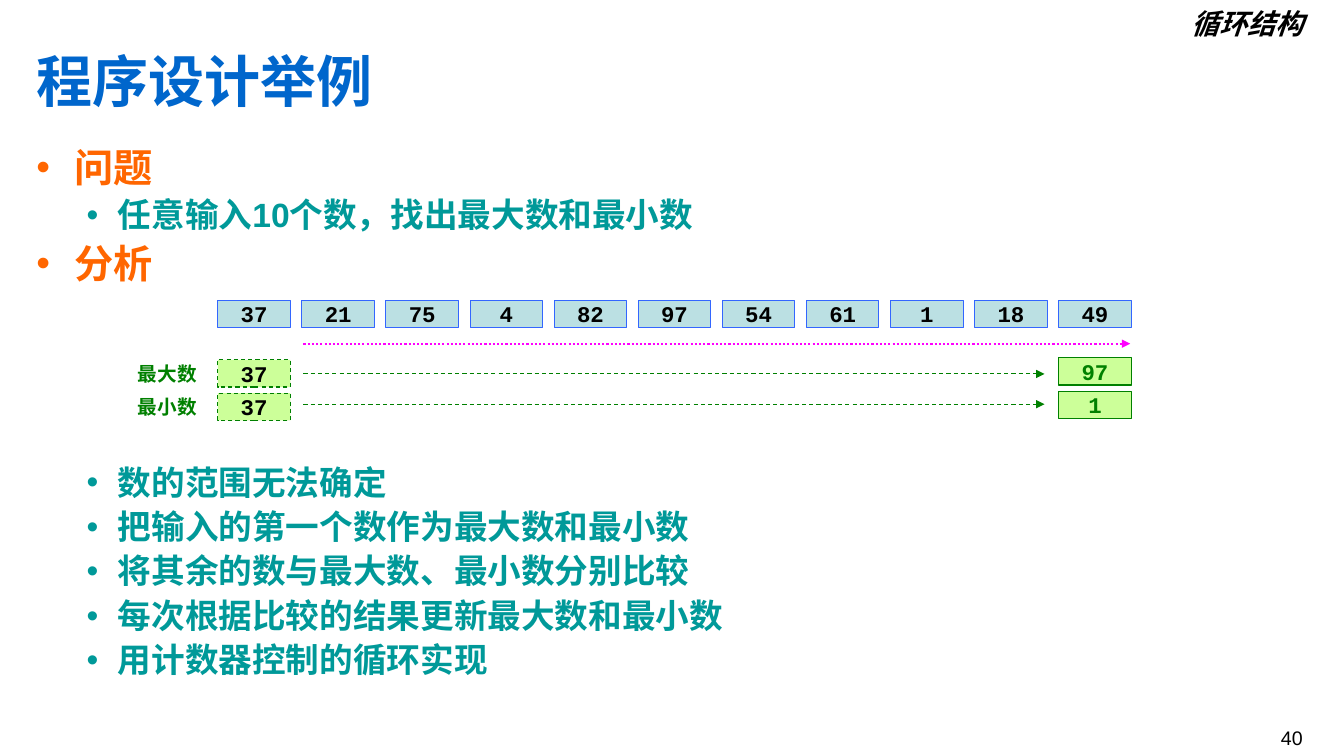
from lxml import etree
from pptx import Presentation
from pptx.dml.color import RGBColor
from pptx.enum.dml import MSO_LINE
from pptx.enum.shapes import MSO_CONNECTOR, MSO_SHAPE
from pptx.enum.text import MSO_ANCHOR, MSO_AUTO_SIZE, PP_ALIGN
from pptx.oxml.ns import qn
from pptx.util import Inches, Pt

DASH, DOT = MSO_LINE.DASH, MSO_LINE.ROUND_DOT
LEFT, CENTER, RIGHT = PP_ALIGN.LEFT, PP_ALIGN.CENTER, PP_ALIGN.RIGHT
TOP, MIDDLE = MSO_ANCHOR.TOP, MSO_ANCHOR.MIDDLE
COLORS = {
    "title": "0066CC", "topic": "FF6600", "detail": "009999", "black": "000000",
    "input": "BBE0E3", "input_edge": "3366FF", "extreme": "CCFF99",
    "green": "008000", "scan": "FF00FF",
}
NUMBERS = [37, 21, 75, 4, 82, 97, 54, 61, 1, 18, 49]
EXTREMES = [("最大数", max(NUMBERS)), ("最小数", min(NUMBERS))]
OUTLINE = [
    (0, "问题"), (1, "任意输入10个数，找出最大数和最小数"), (0, "分析"),
    (1, "数的范围无法确定"), (1, "把输入的第一个数作为最大数和最小数"),
    (1, "将其余的数与最大数、最小数分别比较"),
    (1, "每次根据比较的结果更新最大数和最小数"), (1, "用计数器控制的循环实现"),
]
LEVELS = [
    {"size": 28, "color": "topic", "before": 6.7, "margin": 0.38, "hang": 0.38},
    {"size": 24, "color": "detail", "before": 5.8, "margin": 0.81, "hang": 0.31},
]
DIAGRAM_GAP = 128.2
FIRST_LEFT, STEP, ROW_TOP, ROW_STEP = 2.16, 0.834, 2.98, 0.33
CELL_WIDTH, CELL_HEIGHT = 0.72, 0.27


def rgb(name):
    return RGBColor.from_string(COLORS[name])


def write(para, text, size, color, align=LEFT, **formats):
    para.alignment = align
    span = para.add_run()
    span.text = text
    span.font.size = Pt(size)
    span.font.color.rgb = rgb(color)
    for name, value in {"name": "Arial", "bold": True, **formats}.items():
        setattr(span.font, name, value)


def place(shape, left, top, width, height):
    for name, value in zip(("left", "top", "width", "height"), (left, top, width, height)):
        setattr(shape, name, Inches(value))


def set_frame(frame, anchor, wrap=True):
    formats = {"auto_size": MSO_AUTO_SIZE.NONE, "word_wrap": wrap, "vertical_anchor": anchor}
    for name, value in formats.items():
        setattr(frame, name, value)


def add_label(page, text, bounds, size, color, **formats):
    box = page.shapes.add_textbox(*map(Inches, bounds))
    set_frame(box.text_frame, TOP)
    write(box.text_frame.paragraphs[0], text, size, color, RIGHT, **formats)


def style_line(line, color, width, dash):
    line.color.rgb = rgb(color)
    line.width = Pt(width)
    if dash:
        line.dash_style = dash


def add_cell(page, column, top, number, fill, edge, color="black", dash=None):
    bounds = (FIRST_LEFT + column * STEP, top, CELL_WIDTH, CELL_HEIGHT)
    cell = page.shapes.add_shape(MSO_SHAPE.RECTANGLE, *map(Inches, bounds))
    cell.shadow.inherit = False
    cell.fill.solid()
    cell.fill.fore_color.rgb = rgb(fill)
    style_line(cell.line, edge, 0.75, dash)
    set_frame(cell.text_frame, MIDDLE, wrap=False)
    write(cell.text_frame.paragraphs[0], str(number), 16, color, CENTER, name="Courier New")


def add_arrow(page, start, end, top, color, width, dash):
    arrow = page.shapes.add_connector(
        MSO_CONNECTOR.STRAIGHT, *map(Inches, (start, top, end, top)))
    style_line(arrow.line, color, width, dash)
    etree.SubElement(arrow.line._get_or_add_ln(), qn("a:tailEnd"), type="triangle")
    etree.SubElement(arrow._element.spPr, qn("a:effectLst"))


def fill_title(page):
    title = page.shapes.title
    place(title, 0.26, 0.36, 12.81, 0.87)
    set_frame(title.text_frame, MIDDLE)
    write(title.text_frame.paragraphs[0], "程序设计举例", 40, "title", name="Noto Sans CJK JP")


def fill_outline(page):
    body = page.placeholders[1]
    place(body, 0.26, 1.42, 12.81, 5.52)
    set_frame(body.text_frame, TOP)
    for index, (level, text) in enumerate(OUTLINE):
        para = body.text_frame.add_paragraph() if index else body.text_frame.paragraphs[0]
        style = LEVELS[level]
        write(para, text, style["size"], style["color"])
        after_diagram = index == 3
        para.level = level
        para.line_spacing = 0.9
        para.space_before = Pt(DIAGRAM_GAP if after_diagram else style["before"])
        properties = para._p.get_or_add_pPr()
        properties.set("marL", str(Inches(style["margin"])))
        properties.set("indent", str(-Inches(style["hang"])))
        etree.SubElement(properties, qn("a:buFont"), typeface="Arial")
        etree.SubElement(properties, qn("a:buChar"), char="•")


def draw_search(page):
    last = len(NUMBERS) - 1
    for column, number in enumerate(NUMBERS):
        add_cell(page, column, ROW_TOP, number, "input", "input_edge")
    add_arrow(page, 3.01, 11.21, 3.41, "scan", 1.5, DOT)
    for row, (name, result) in enumerate(EXTREMES):
        shift = row * ROW_STEP
        add_label(page, name, (0.94, 3.54 + shift, 1.11, 0.33), 14, "green", name="Courier New")
        add_cell(page, 0, 3.57 + shift, NUMBERS[0], "extreme", "green", dash=DASH)
        add_cell(page, last, 3.55 + shift, result, "extreme", "green", "green")
        add_arrow(page, 3.01, 10.36, 3.71 + row * 0.3, "green", 0.75, DASH)


def main():
    deck = Presentation()
    deck.slide_width, deck.slide_height = Inches(13.33), Inches(7.5)
    page = deck.slides.add_slide(deck.slide_layouts[1])
    fill_title(page)
    fill_outline(page)
    add_label(page, "循环结构", (4.49, 0.02, 8.54, 0.43), 20, "black", italic=True)
    add_label(page, "40", (11.18, 7.15, 1.84, 0.28), 14, "black", bold=False)
    draw_search(page)
    deck.save("out.pptx")


main()
